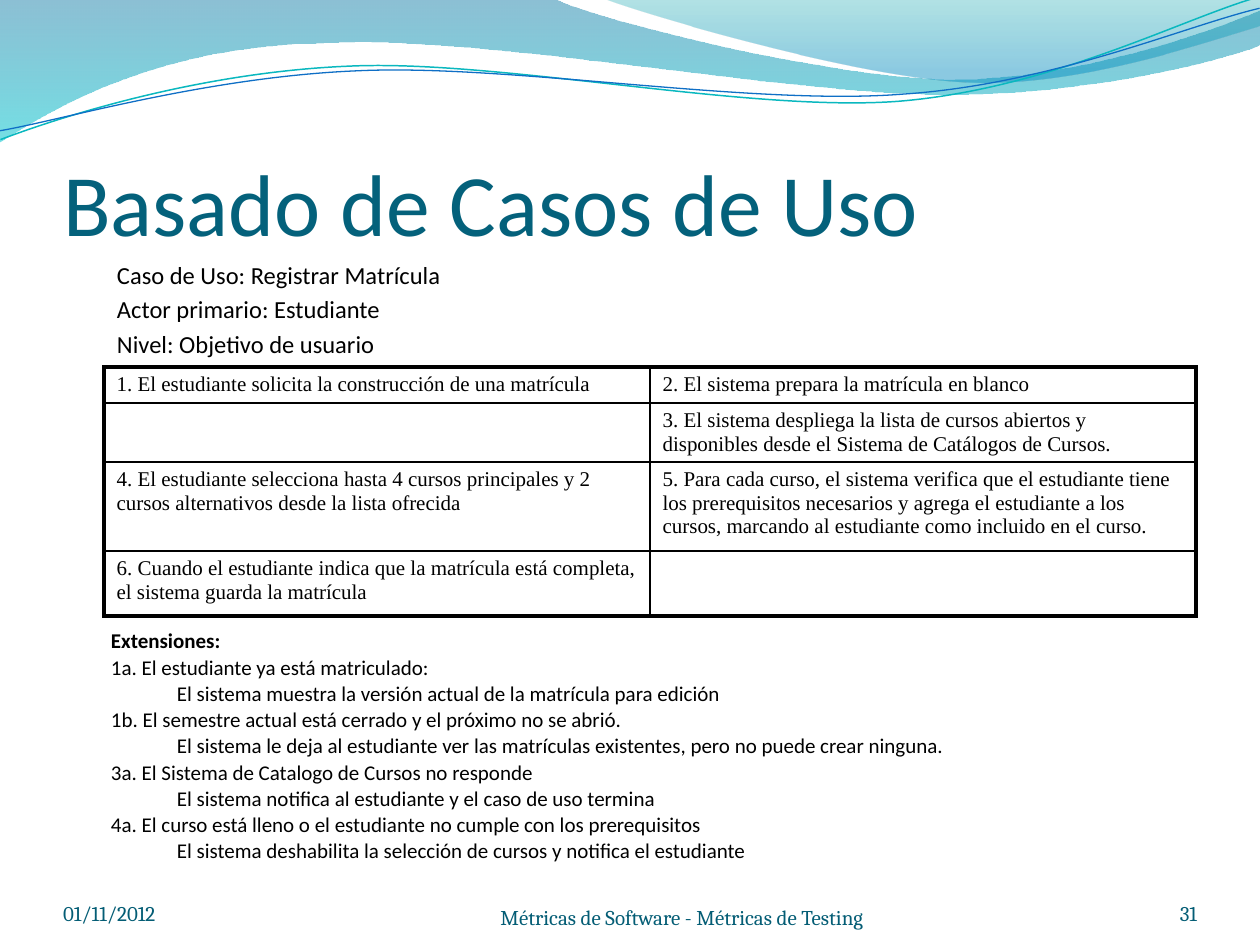
from lxml import etree
from pptx import Presentation, util as u
from pptx.dml.color import RGBColor
from pptx.enum import text as t
from pptx.oxml.ns import qn

PX = 914400 / 126
INK = "000000"
BLUE = "04617B"
NOTE = "045D75"
PAD = (13, 6, 13, 6)
TILT = -2.7

UPPER = [(0, 0), [(554, -1)],
         [(600, 21), (837, 79), (955, 79)], [(1075, 79), (1207, 33), (1260, 11)],
         [(1261, 45)],
         [(1239, 55), (1096, 96), (940, 94)], [(784, 94), (481, 35), (324, 43)],
         [(163, 45), (58, 105), (-1, 142)]]
RIGHT = [(604, -1), [(641, 14), (859, 78), (969, 82)],
         [(1079, 87), (1211, 40), (1260, 26)], [(1260, 0)]]
TEAL = [(-2, 110), [(59, 90), (200, 52), (350, 53)],
        [(499, 53), (745, 118), (896, 114)], [(1049, 109), (1184, 45), (1260, 27)]]
NAVY = [(-2, 101), [(57, 94), (207, 57), (358, 58)],
        [(509, 58), (750, 112), (902, 107)], [(1052, 104), (1187, 52), (1262, 38)]]

FACTS = ["Caso de Uso: Registrar Matrícula", "Actor primario: Estudiante",
         "Nivel: Objetivo de usuario"]
STEPS = [
    ("1. El estudiante solicita la construcción de una matrícula",
     "2. El sistema prepara la matrícula en blanco"),
    ("", "3. El sistema despliega la lista de cursos abiertos y disponibles "
     "desde el Sistema de Catálogos de Cursos."),
    ("4. El estudiante selecciona hasta 4 cursos principales y 2 cursos "
     "alternativos desde la lista ofrecida",
     "5. Para cada curso, el sistema verifica que el estudiante tiene los "
     "prerequisitos necesarios y agrega el estudiante a los cursos, marcando "
     "al estudiante como incluido en el curso."),
    ("6. Cuando el estudiante indica que la matrícula está completa, el "
     "sistema guarda la matrícula", ""),
]
CASES = [
    "Extensiones:",
    "1a. El estudiante ya está matriculado:",
    "\tEl sistema muestra la versión actual de la matrícula para edición",
    "1b. El semestre actual está cerrado y el próximo no se abrió.",
    "\tEl sistema le deja al estudiante ver las matrículas existentes, pero no "
    "puede crear ninguna.",
    "3a. El Sistema de Catalogo de Cursos no responde",
    "\tEl sistema notifica al estudiante y el caso de uso termina",
    "4a. El curso está lleno o el estudiante no cumple con los prerequisitos",
    "\tEl sistema deshabilita la selección de cursos y notifica el estudiante",
]


def px(n):
    """Turn px into EMU."""
    return u.Emu(round(n * PX))


def hue(code):
    """Turn a hex string into a colour."""
    return RGBColor.from_string(code)


def style(para, face, size, code, gap=0):
    """Set the font and leading space of a paragraph."""
    font = para.font
    font.name, font.size, font.color.rgb = face, u.Pt(size), hue(code)
    para.space_before = u.Pt(gap)


def place(shape, box):
    """Move a shape to a box."""
    shape.left, shape.top, shape.width, shape.height = map(px, box)


def frame(shape, pad, anchor):
    """Set wrapping, insets and anchor, and return the text frame."""
    body = shape.text_frame
    body.word_wrap, body.vertical_anchor = True, anchor
    (body.margin_left, body.margin_top,
     body.margin_right, body.margin_bottom) = map(px, pad)
    return body


def bend(shape, parts):
    """Merge each run of three segments of a part into one cubic curve."""
    legs = iter(shape.element.xpath(".//a:path/a:lnTo"))
    for part in parts:
        group = [next(legs) for _ in part]
        if len(group) == 3:
            curve = etree.Element(qn("a:cubicBezTo"))
            group[0].addprevious(curve)
            for leg in group:
                curve.append(leg[0])
                leg.getparent().remove(leg)


def outline(slide, route, close):
    """Draw a route as a freeform."""
    start, *parts = route
    pen = slide.shapes.build_freeform(*map(px, start))
    pen.add_line_segments([(px(x), px(y)) for part in parts for x, y in part], close=close)
    shape = pen.convert_to_shape()
    shape.shadow.inherit = False
    bend(shape, parts)
    return shape


def band(slide, route, stops):
    """Draw a wave filled with a sheer downward gradient."""
    shape = outline(slide, route, True)
    shape.line.fill.background()
    shape.fill.gradient()
    shape.fill.gradient_angle = 270
    for stop, (spot, code, _) in zip(shape.fill.gradient_stops, stops):
        stop.position, stop.color.rgb = spot, hue(code)
    for node, (_, _, sheer) in zip(shape.element.xpath(".//a:gs/a:srgbClr"), stops):
        etree.SubElement(node, qn("a:alpha"), val=str(sheer * 1000))


def stroke(slide, route, code, width):
    """Draw a thin, tilted wavy line."""
    shape = outline(slide, route, False)
    shape.rotation = TILT
    shape.fill.background()
    shape.line.color.rgb, shape.line.width = hue(code), u.Pt(width)


def head(slide, box):
    """Fill the title."""
    title = slide.shapes.title
    place(title, box)
    body = frame(title, (0, 6, 0, 0), t.MSO_ANCHOR.BOTTOM)
    body.text = "Basado de Casos de Uso"
    para = body.paragraphs[0]
    para.alignment = t.PP_ALIGN.LEFT
    style(para, "Calibri", 50, BLUE)


def lines(slide, box, rows, size, gap, hang):
    """Write a block of paragraphs with a hanging indent."""
    body = frame(slide.shapes.add_textbox(*map(px, box)), PAD, t.MSO_ANCHOR.TOP)
    body.text = "\n".join(rows)
    for para in body.paragraphs:
        style(para, "Calibri", size, INK, gap)
        prop = para._p.get_or_add_pPr()
        prop.set("marL", str(px(hang)))
        prop.set("indent", str(-px(hang)))
    return body


def edge(cell, side, width):
    """Draw one border of a cell."""
    line = etree.SubElement(cell._tc.get_or_add_tcPr(), qn("a:ln" + side),
                            w=str(u.Pt(width)))
    fill = etree.SubElement(line, qn("a:solidFill"))
    etree.SubElement(fill, qn("a:srgbClr"), val=INK)


def grid(slide, box, tall):
    """Build the table of steps with a heavy outer border."""
    rows, cols = len(STEPS), len(STEPS[0])
    table = slide.shapes.add_table(rows, cols, *map(px, box)).table
    table.first_row = table.horz_banding = False
    for row, high in zip(table.rows, tall):
        row.height = px(high)
    for r, words in enumerate(STEPS):
        for c, word in enumerate(words):
            cell = table.cell(r, c)
            outer = {"L": c == 0, "R": c == cols - 1, "T": r == 0, "B": r == rows - 1}
            for side, thick in outer.items():
                edge(cell, side, 2.25 if thick else 1)
            cell.fill.background()
            cell.margin_bottom = px(1)
            cell.text = word
            style(cell.text_frame.paragraphs[0], "Times New Roman", 12, INK, 0.6)


def foot(slide, box, word, align):
    """Write one footer item."""
    body = frame(slide.shapes.add_textbox(*map(px, box)), (0, 0, 0, 0), t.MSO_ANCHOR.BOTTOM)
    body.text = word
    body.paragraphs[0].alignment = align
    style(body.paragraphs[0], "Cambria", 12, NOTE)


def main():
    """Build and save the slide."""
    deck = Presentation()
    deck.slide_width, deck.slide_height = px(1260), px(945)
    slide = deck.slides.add_slide(deck.slide_layouts[5])
    band(slide, UPPER, [(0, "0074A1", 45), (1, "00C6CF", 55)])
    band(slide, RIGHT, [(0, "00A1A9", 30), (0.8, "008BBF", 45)])
    stroke(slide, TEAL, "0AB8BF", 0.85)
    stroke(slide, NAVY, "0F6FC6", 0.75)
    head(slide, (63, 97, 1134, 157))
    lines(slide, (104, 254, 1072, 110), FACTS, 14, 2.8, 38)
    grid(slide, (104, 367, 1092, 249), (36, 59, 89, 65))
    cases = lines(slide, (98, 622, 1072, 287), CASES, 12, 0.6, 66)
    cases.paragraphs[0].font.bold = True
    foot(slide, (63, 876, 294, 50), "01/11/2012", t.PP_ALIGN.LEFT)
    foot(slide, (451, 880, 462, 50), "Métricas de Software - Métricas de Testing",
         t.PP_ALIGN.CENTER)
    foot(slide, (1092, 876, 105, 50), "31", t.PP_ALIGN.RIGHT)
    deck.save("out.pptx")


if __name__ == "__main__":
    main()
